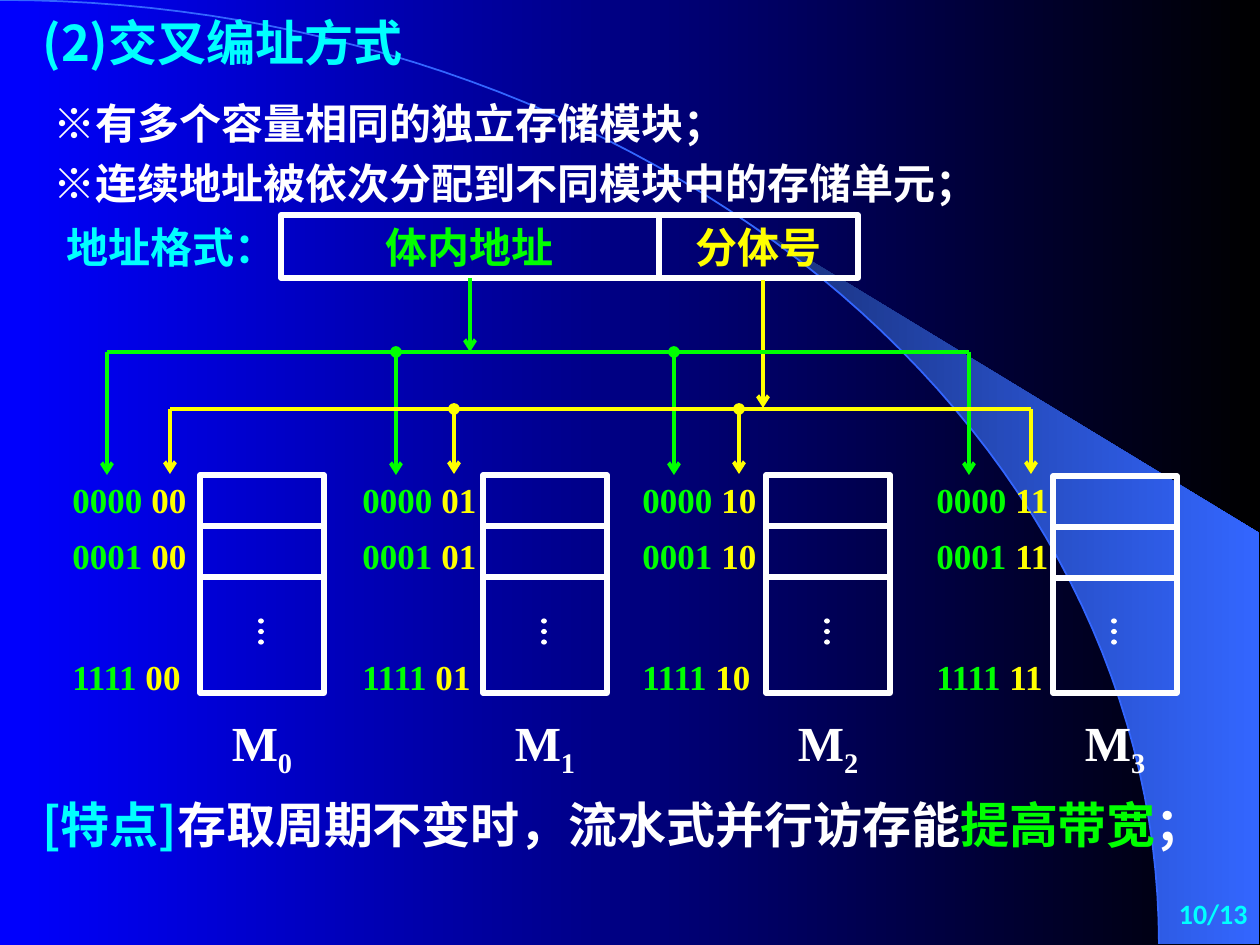
from math import cos, radians, sin
from lxml.etree import SubElement
from pptx import Presentation
from pptx.dml.color import RGBColor
from pptx.enum.dml import MSO_LINE as Dash
from pptx.enum.shapes import MSO_CONNECTOR as Conn, MSO_SHAPE as Shape
from pptx.enum.text import MSO_ANCHOR as Anchor, MSO_AUTO_SIZE as Fit, PP_ALIGN as Align
from pptx.oxml.ns import qn
from pptx.util import Emu, Pt

CYAN, GREEN, GOLD, WHITE = "00FFFF", "00FF00", "FFFF00", "FFFFFF"
HAN, ROMAN = "Noto Sans CJK SC", "Times New Roman"

TITLE = "(2)交叉编址方式"
POINTS = ["※有多个容量相同的独立存储模块；", "※连续地址被依次分配到不同模块中的存储单元；"]
FIELDS = [("体内地址", GREEN, 281, 378), ("分体号", GOLD, 659, 199)]
TRAIT = [("[特点]", CYAN), ("存取周期不变时，流水式并行访存能", WHITE),
         ("提高带宽", GREEN), ("；", WHITE)]
BANKS = [
    dict(code="00", box=200, text=60, green=107, gold=170, top=475),
    dict(code="01", box=483, text=350, green=396, gold=454, top=475),
    dict(code="10", box=766, text=630, green=674, gold=739, top=475),
    dict(code="11", box=1053, text=924, green=969, gold=1031, top=476),
]
ROWS = [("0000", 472), ("0001", 528), ("1111", 649)]
BUSES = [("green", GREEN, 352, 475), ("gold", GOLD, 409, 474)]
BANK_W, BANK_END = 124, 693
ARC_W, ARC_H = 1159, 944


def px(n):
    return Emu(round(n * 914400 / 126))


def rgb(code):
    return RGBColor.from_string(code)


def write(shape, paras, size=24, font=HAN, align=Align.LEFT, anchor=Anchor.TOP,
          space=None, wrap=True):
    frame = shape.text_frame
    frame.auto_size = Fit.NONE
    frame.word_wrap = wrap
    frame.vertical_anchor = anchor
    for i, runs in enumerate(paras):
        para = frame.add_paragraph() if i else frame.paragraphs[0]
        para.alignment = align
        para.space_before = Pt(0)
        if space:
            para.line_spacing = space
        for text, color, *base in runs:
            run = para.add_run()
            run.text = text
            run.font.size = Pt(size)
            run.font.bold = True
            run.font.color.rgb = rgb(color)
            run.font.name = font
            props = run.font._element
            SubElement(props, qn("a:ea")).set("typeface", HAN)
            if base:
                props.set("baseline", str(base[0] * 1000))
    return shape


def label(x, y, w, h, runs, **style):
    return write(slide.shapes.add_textbox(px(x), px(y), px(w), px(h)), [runs], **style)


def place(shape, x, y, w, h):
    shape.left, shape.top, shape.width, shape.height = map(px, (x, y, w, h))
    return shape


def frame(x, y, w, h):
    box = slide.shapes.add_shape(Shape.RECTANGLE, px(x), px(y), px(w), px(h))
    box.shadow.inherit = False
    box.fill.background()
    box.line.color.rgb = rgb(WHITE)
    box.line.width = Pt(3)
    return box


def line(x1, y1, x2, y2, color, width=2.25, head=None, tail=None, dots=False):
    link = slide.shapes.add_connector(Conn.STRAIGHT, px(x1), px(y1), px(x2), px(y2))
    link.line.color.rgb = rgb(color)
    link.line.width = Pt(width)
    SubElement(link._element.spPr, qn("a:effectLst"))
    edge = link.line._get_or_add_ln()
    if dots:
        link.line.dash_style = Dash.ROUND_DOT
        edge.set("cap", "rnd")
    for tag, kind in (("a:headEnd", head), ("a:tailEnd", tail)):
        if kind:
            SubElement(edge, qn(tag)).set("type", kind)
    return link


def shade(fill, first, last):
    fill.gradient()
    fill.gradient_angle = 0
    for stop, color, spot in zip(fill.gradient_stops, (first, last), (0, 1)):
        stop.color.rgb = rgb(color)
        stop.position = spot


def arc(start):
    steps = 60
    turns = [radians(start + (90 - start) * i / steps) for i in range(steps + 1)]
    return [(px(ARC_W * sin(t)), px(ARC_H * (1 - cos(t)))) for t in turns]


def outline(points, close):
    pen = slide.shapes.build_freeform(*points[0])
    pen.add_line_segments(points[1:], close=close)
    shape = pen.convert_to_shape()
    shape.shadow.inherit = False
    return shape


deck = Presentation()
deck.slide_width, deck.slide_height = px(1260), px(945)
slide = deck.slides.add_slide(deck.slide_layouts[1])
shade(slide.background.fill, "0000FF", "000000")

fan = outline(arc(39.8) + [(px(1259), px(944)), (px(1259), px(533))], True)
shade(fan.fill, "182F76", "3366FF")
fan.line.fill.background()
curve = outline(arc(0), False)
curve.fill.background()
curve.line.color.rgb = rgb("3366FF")
curve.line.width = Pt(1)

title, body = slide.placeholders
tree = slide.shapes._spTree
for holder in (title, body):
    tree.append(holder._element)
write(place(title, 30, 0, 451, 84), [[(TITLE, CYAN)]], size=28, anchor=Anchor.MIDDLE)
write(place(body, 41, 82, 1030, 134), [[(p, WHITE)] for p in POINTS], space=Pt(34.2))
for para in body.text_frame.paragraphs:
    props = para._p.get_or_add_pPr()
    props.set("marL", "0")
    props.set("indent", "0")
    SubElement(props, qn("a:buNone"))

label(54, 215, 234, 63, [("地址格式：", CYAN)], wrap=False)
fields = [write(frame(x, 215, w, 63), [[(text, color)]], align=Align.CENTER,
                anchor=Anchor.MIDDLE) for text, color, x, w in FIELDS]
line(470, 278, 470, 352, GREEN, tail="arrow").begin_connect(fields[0], 2)
line(763, 280, 763, 408, GOLD, tail="arrow")

for key, color, top, end in BUSES:
    line(BANKS[0][key], top, BANKS[-1][key], top, color)
    for bank in BANKS:
        inner = bank not in (BANKS[0], BANKS[-1])
        line(bank[key], top, bank[key], end, color,
             head="oval" if inner else None, tail="arrow")

for i, bank in enumerate(BANKS):
    x, top = bank["box"], bank["top"]
    frame(x, top, BANK_W, BANK_END - top)
    for drop in (51, 102):
        line(x, top + drop, x + BANK_W, top + drop, WHITE, 3)
    mid = x + BANK_W // 2 - 1
    line(mid, 621, mid, 651, WHITE, 3, dots=True)
    label(x + 3, 706, 118, 79, [("M", WHITE), (str(i), WHITE, -25)],
          size=28, font=ROMAN, align=Align.CENTER)
    for row, y in ROWS:
        label(bank["text"], y, 149, 55, [(row + " ", GREEN), (bank["code"], GOLD)],
              size=20, font=ROMAN)

label(30, 777, 1198, 83, TRAIT, size=28, space=1.2)
label(998, 882, 262, 63, [("10/13", CYAN)], size=16, font="Calibri",
      align=Align.RIGHT, anchor=Anchor.MIDDLE)

deck.save("out.pptx")
